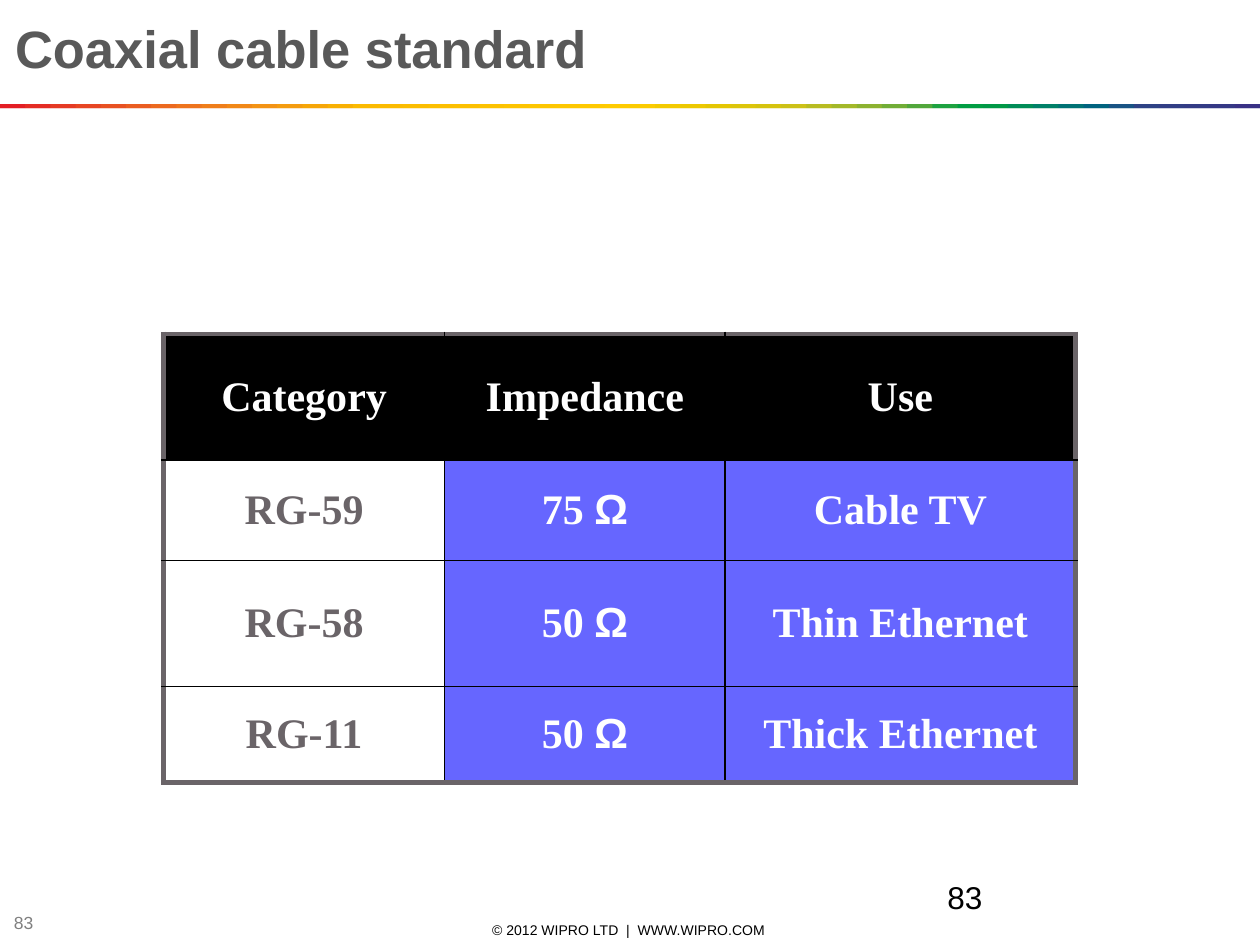
from dataclasses import dataclass

import pptx
import pptx.dml.color
import pptx.enum.shapes
import pptx.enum.text
import pptx.oxml
import pptx.oxml.ns
import pptx.util
from pptx.util import Cm

ALIGN = pptx.enum.text.PP_ALIGN
ANCHOR = pptx.enum.text.MSO_ANCHOR


@dataclass(frozen=True)
class Theme:
    sans: str = "Arial"
    serif: str = "Times New Roman"
    black: str = "000000"
    white: str = "FFFFFF"
    title: str = "595959"
    muted: str = "808080"
    frame: str = "6A6468"
    accent: str = "6666FF"
    title_size: int = 30
    table_size: int = 24
    number_size: int = 18
    footer_size: int = 10
    copyright_size: int = 8
    frame_width: int = 3
    grid_width: int = 1


THEME = Theme()
SLIDE_WIDTH, SLIDE_HEIGHT = 25.4, 19.05

# Colours of the rainbow rule, from left to right
RAINBOW = """
E31E24 E31E24 E42C24 E53A24 E74623 E85122 EA5D21 EC691F EE741D EF7E1A
F18817 F39314 F49C0F F6A607 F8B002 FBBA00 FBBB00 FBBD00 FCBF00 FCC000
FCC200 FDC400 FDC600 FDC700 FEC900 FECB00 FBCB00 F3CA00 ECC800 E4C602
DCC50A D5C30E CCC117 B8BC21 A3B829 8CB230 71AD36 51A73B 1DA240 009D43
009846 008C57 008068 007275 00637F 185384 2E4285 313E85 333B85 353885
393185
""".split()

CABLES = [
    ("Category", "Impedance", "Use"),
    ("RG-59", "75 Ω", "Cable TV"),
    ("RG-58", "50 Ω", "Thin Ethernet"),
    ("RG-11", "50 Ω", "Thick Ethernet"),
]
COLUMN_WIDTHS = (5.66, 5.66, 7.06)
ROW_HEIGHTS = (2.54, 2.03, 2.54, 1.93)


def rgb(colour):
    return pptx.dml.color.RGBColor.from_string(colour)


def style(font, name, size, colour, bold=False):
    font.name = name
    font.size = pptx.util.Pt(size)
    font.color.rgb = rgb(colour)
    font.bold = bold


def add_title(slide, text):
    title = slide.shapes.title
    title.left, title.top, title.width, title.height = Cm(0.05), Cm(0.2), Cm(21.64), Cm(3.18)
    title.text_frame.text = text
    title.text_frame.vertical_anchor = ANCHOR.TOP
    heading = title.text_frame.paragraphs[0]
    heading.alignment = ALIGN.LEFT
    style(heading.font, THEME.sans, THEME.title_size, THEME.title, bold=True)


def add_label(slide, text, box, size, colour, anchor=ANCHOR.MIDDLE, align=ALIGN.LEFT):
    frame = slide.shapes.add_textbox(*map(Cm, box)).text_frame
    frame.word_wrap = True
    frame.vertical_anchor = anchor
    frame.text = text
    frame.paragraphs[0].alignment = align
    style(frame.paragraphs[0].font, THEME.sans, size, colour)


def add_rainbow(slide):
    """Overlapping tiles, centred one step apart and cut at the slide edges."""
    step = SLIDE_WIDTH / (len(RAINBOW) - 1)
    for index, colour in enumerate(RAINBOW):
        left = max(0, (index - 1) * step)
        right = min(SLIDE_WIDTH, (index + 1) * step)
        tile = slide.shapes.add_shape(
            pptx.enum.shapes.MSO_SHAPE.RECTANGLE, Cm(left), Cm(2.1), Cm(right - left), Cm(0.08))
        tile.shadow.inherit = False
        tile.fill.solid()
        tile.fill.fore_color.rgb = rgb(colour)
        tile.line.fill.background()


def add_borders(cell, outer_sides):
    """Thick frame on the outer sides (given by side letter), thin grid on the others."""
    properties = cell._tc.get_or_add_tcPr()
    for side in "LRTB":
        outer = side in outer_sides
        colour = THEME.frame if outer else THEME.black
        width = pptx.util.Pt(THEME.frame_width if outer else THEME.grid_width)
        properties.append(pptx.oxml.parse_xml(
            f'<a:ln{side} {pptx.oxml.ns.nsdecls("a")} w="{width}"><a:solidFill>'
            f'<a:srgbClr val="{colour}"/></a:solidFill></a:ln{side}>'))


def fill_cell(cell, text, fill, colour):
    cell.fill.solid()
    cell.fill.fore_color.rgb = rgb(fill)
    cell.vertical_anchor = ANCHOR.MIDDLE
    content = cell.text_frame.paragraphs[0]
    content.alignment = ALIGN.CENTER
    style(content.font, THEME.serif, THEME.table_size, colour, bold=True)
    # The ohm sign has its own run in the sans font
    value, ohm, _ = text.partition("Ω")
    for part, font_name in ((value, THEME.serif), (ohm, THEME.sans)):
        if part:
            run = content.add_run()
            run.text = part
            style(run.font, font_name, THEME.table_size, colour, bold=True)


def add_cable_table(slide):
    last_row, last_column = len(CABLES) - 1, len(COLUMN_WIDTHS) - 1
    table = slide.shapes.add_table(
        len(CABLES), len(COLUMN_WIDTHS), Cm(3.3), Cm(6.73),
        Cm(sum(COLUMN_WIDTHS)), Cm(sum(ROW_HEIGHTS))).table
    table.first_row = table.horz_banding = False
    for column, width in zip(table.columns, COLUMN_WIDTHS):
        column.width = Cm(width)
    for row, height in zip(table.rows, ROW_HEIGHTS):
        row.height = Cm(height)

    for r, texts in enumerate(CABLES):
        for c, text in enumerate(texts):
            edges = {"L": c == 0, "R": c == last_column, "T": r == 0, "B": r == last_row}
            if r == 0:
                fill, colour = THEME.black, THEME.white
            elif c == 0:
                fill, colour = THEME.white, THEME.frame
            else:
                fill, colour = THEME.accent, THEME.white
            cell = table.cell(r, c)
            add_borders(cell, [side for side, outer in edges.items() if outer])
            fill_cell(cell, text, fill, colour)


def main():
    deck = pptx.Presentation()
    deck.slide_width, deck.slide_height = Cm(SLIDE_WIDTH), Cm(SLIDE_HEIGHT)
    slide = deck.slides.add_slide(deck.slide_layouts[5])

    # Footer
    add_label(slide, "© 2012 WIPRO LTD  |  WWW.WIPRO.COM ", (8.69, 18.54, 8.05, 0.41),
              THEME.copyright_size, THEME.black, align=ALIGN.CENTER)
    add_label(slide, "83", (0.03, 18.34, 1.9, 0.53), THEME.footer_size, THEME.muted)

    # Heading and rule
    add_rainbow(slide)
    add_title(slide, "Coaxial cable standard")

    # Body
    add_label(slide, "83", (18.85, 17.58, 5.28, 1.27), THEME.number_size, THEME.black,
              anchor=ANCHOR.TOP)
    add_cable_table(slide)

    deck.save("out.pptx")


if __name__ == "__main__":
    main()
